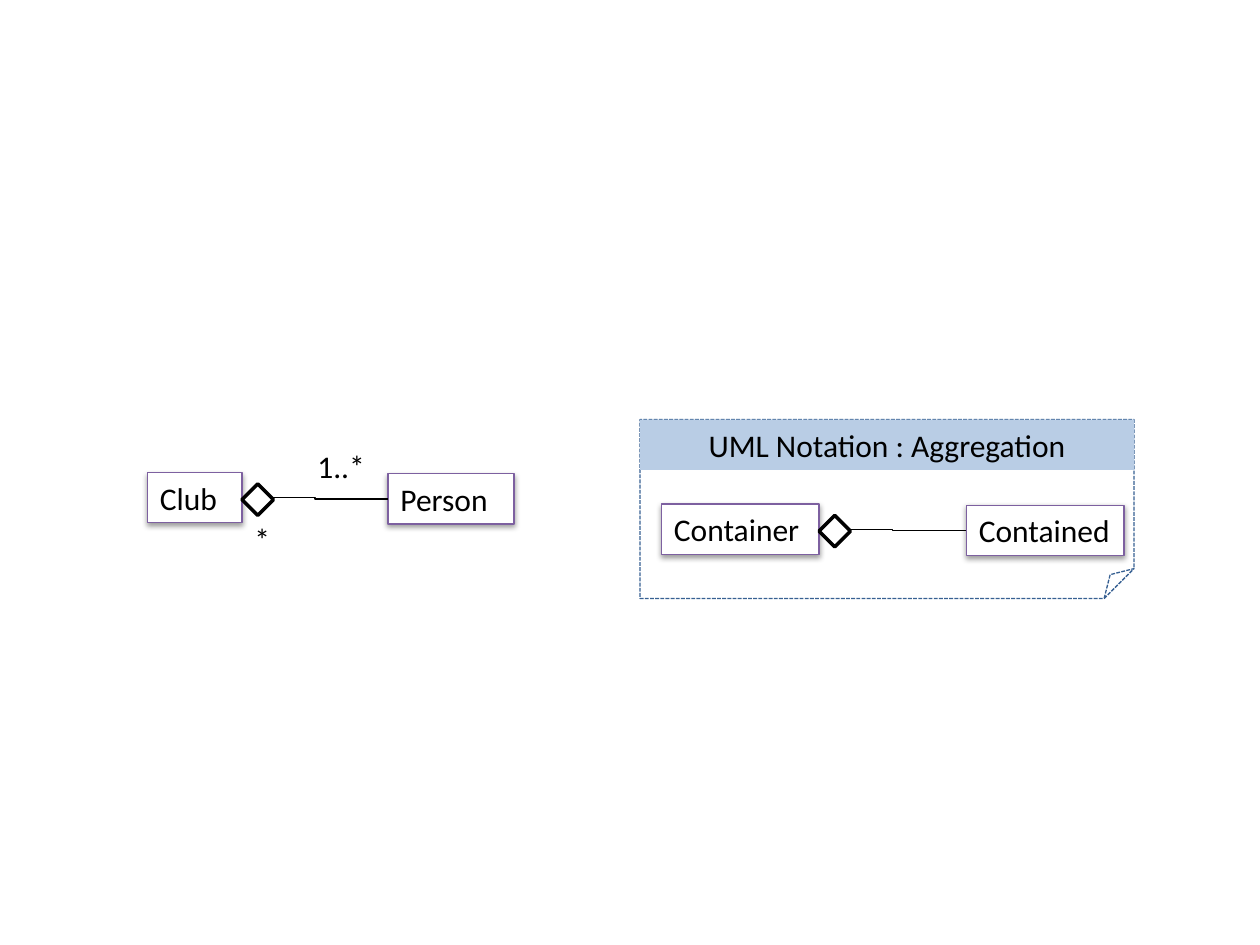
from lxml import etree
from pptx import Presentation
from pptx.dml.color import RGBColor
from pptx.enum.dml import MSO_LINE
from pptx.enum.shapes import MSO_CONNECTOR, MSO_SHAPE
from pptx.enum.text import MSO_ANCHOR, MSO_AUTO_SIZE, PP_ALIGN
from pptx.oxml import parse_xml
from pptx.oxml.ns import qn
from pptx.util import Inches, Pt

RECT, NOTE, DIAMOND = MSO_SHAPE.RECTANGLE, MSO_SHAPE.FOLDED_CORNER, MSO_SHAPE.FLOWCHART_DECISION
ELBOW = MSO_CONNECTOR.ELBOW
DASH = MSO_LINE.SQUARE_DOT
TOP, MIDDLE = MSO_ANCHOR.TOP, MSO_ANCHOR.MIDDLE
LEFT, CENTER = PP_ALIGN.LEFT, PP_ALIGN.CENTER
GROW = MSO_AUTO_SIZE.SHAPE_TO_FIT_TEXT

COLORS = {"white": "FFFFFF", "black": "000000", "purple": "7D60A0",
          "navy": "376092", "pale_blue": "B9CDE5"}
FONT, SIZE = "Calibri", 18
ROW_H, DIAMOND_SIZE, DIAMOND_DROP = 0.4, 0.25, 0.09

NOTE_BOX = (5.08, 3.33, 3.92, 1.42)
NOTE_TITLE = "UML Notation : Aggregation"
AGGREGATIONS = [
    (("Container", 5.25, 4, 1.25), ("Contained", 7.67, 4.01, 1.25)),
    (("Club", 1.17, 3.75, 0.75), ("Person", 3.08, 3.76, 1)),
]
MULTIPLICITIES = [("*", 1.92, 4.08, 0.33), ("1..*", 2.42, 3.5, 0.58)]

SHADOW = (
    '<a:effectLst xmlns:a="http://schemas.openxmlformats.org/drawingml/2006/main">'
    '<a:outerShdw blurRad="40000" dist="20000" dir="5400000" rotWithShape="0">'
    '<a:srgbClr val="000000"><a:alpha val="38000"/></a:srgbClr>'
    '</a:outerShdw></a:effectLst>'
)


def color(name):
    return RGBColor.from_string(COLORS[name])


def set_text(sp, text, anchor=TOP, align=LEFT):
    tf = sp.text_frame
    tf.word_wrap = True
    tf.auto_size = GROW
    tf.vertical_anchor = anchor
    p = tf.paragraphs[0]
    p.text = text
    p.alignment = align
    p.font.name, p.font.size = FONT, Pt(SIZE)
    p.font.color.rgb = color("black")


def add_shape(slide, kind, box, fill=None, line=None, width=0.75):
    sp = slide.shapes.add_shape(kind, *map(Inches, box))
    sp.shadow.inherit = False
    if fill:
        sp.fill.solid()
        sp.fill.fore_color.rgb = color(fill)
    else:
        sp.fill.background()
    if line:
        sp.line.color.rgb = color(line)
        sp.line.width = Pt(width)
    else:
        sp.line.fill.background()
    return sp


def add_class(slide, name, x, y, w):
    sp = add_shape(slide, RECT, (x, y, w, ROW_H), "white", "purple")
    spPr = sp._element.spPr
    spPr.replace(spPr.find(qn("a:effectLst")), parse_xml(SHADOW))
    set_text(sp, name, MIDDLE)
    return sp


def add_aggregation(slide, whole, part):
    whole_sp, part_sp = add_class(slide, *whole), add_class(slide, *part)
    link = slide.shapes.add_connector(ELBOW, 0, 0, 0, 0)
    link.begin_connect(whole_sp, 3)
    link.end_connect(part_sp, 1)
    link.line.color.rgb = color("black")
    link.line.width = Pt(0.75)
    etree.SubElement(link._element.spPr, qn("a:effectLst"))
    _, x, y, w = whole
    add_shape(slide, DIAMOND, (x + w, y + DIAMOND_DROP, DIAMOND_SIZE, DIAMOND_SIZE),
              "white", "black", 2)


prs = Presentation()
prs.slide_width, prs.slide_height = Inches(10), Inches(7.5)
slide = prs.slides.add_slide(prs.slide_layouts[6])

note = add_shape(slide, NOTE, NOTE_BOX, line="navy")
note.line.dash_style = DASH
header = add_shape(slide, RECT, (*NOTE_BOX[:3], ROW_H), "pale_blue")
set_text(header, NOTE_TITLE, align=CENTER)

for whole, part in AGGREGATIONS:
    add_aggregation(slide, whole, part)

for text, x, y, w in MULTIPLICITIES:
    label = slide.shapes.add_textbox(*map(Inches, (x, y, w, ROW_H)))
    set_text(label, text)

prs.save("out.pptx")
